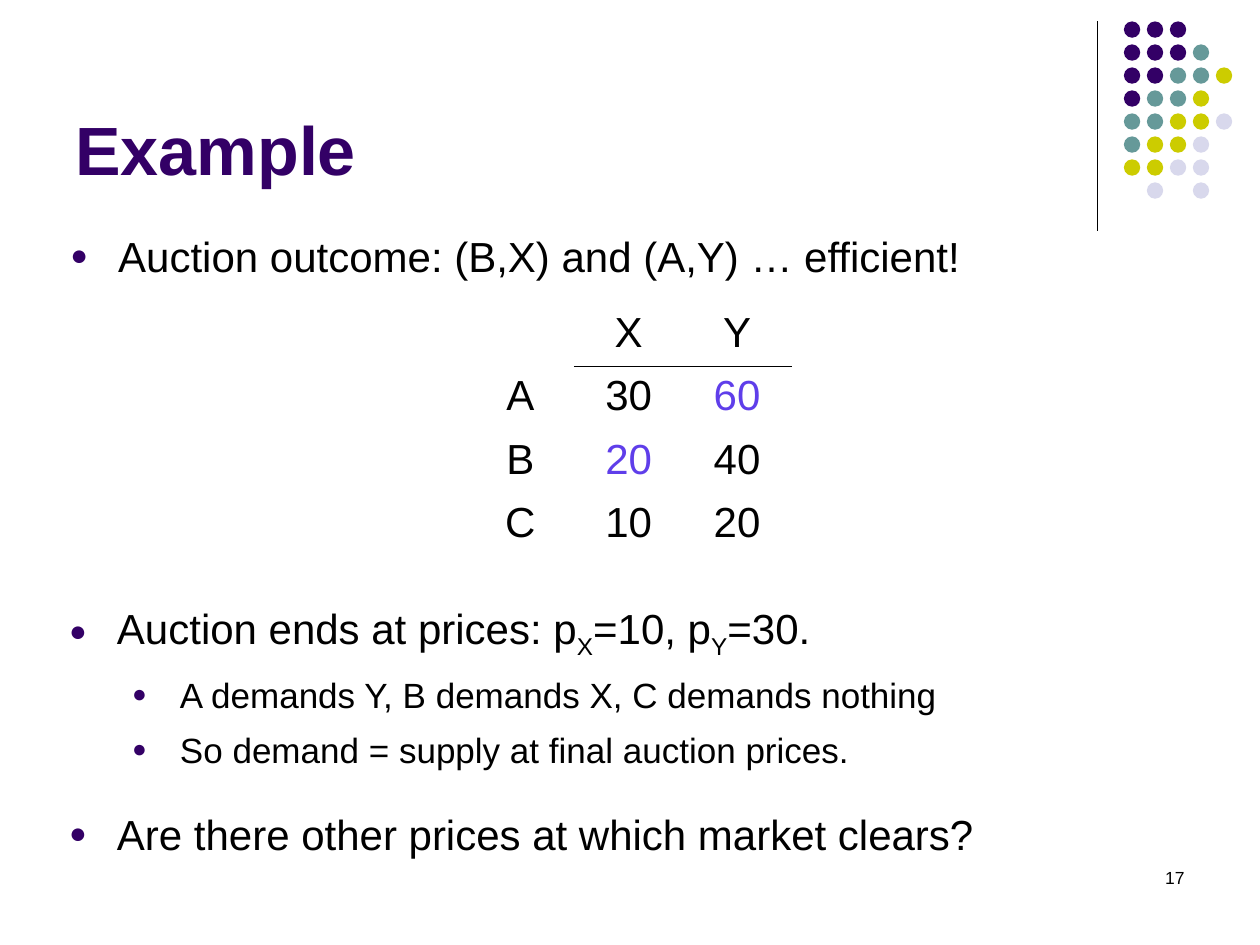
from dataclasses import dataclass

from lxml import etree
from pptx import Presentation
from pptx.dml.color import RGBColor
from pptx.enum.shapes import MSO_CONNECTOR, MSO_SHAPE
from pptx.enum.text import MSO_ANCHOR, PP_ALIGN
from pptx.oxml.ns import qn
from pptx.util import Inches, Pt

LEFT, CENTER, RIGHT = PP_ALIGN.LEFT, PP_ALIGN.CENTER, PP_ALIGN.RIGHT
TOP, BOTTOM = MSO_ANCHOR.TOP, MSO_ANCHOR.BOTTOM
OVAL, STRAIGHT = MSO_SHAPE.OVAL, MSO_CONNECTOR.STRAIGHT


@dataclass(frozen=True)
class Theme:
    font: str = "Arial"
    ink: str = "000000"
    purple: str = "330066"
    teal: str = "669999"
    lime: str = "CCCC00"
    mist: str = "D8D8EC"
    highlight: str = "5F3EEA"
    title: int = 39
    body: int = 24
    detail: int = 20
    small: int = 10


THEME = Theme()

DOT_COLORS = {"p": THEME.purple, "t": THEME.teal, "l": THEME.lime, "m": THEME.mist}
DOT_ROWS = ["ppp", "pppt", "ppttl", "pttl", "ttllm", "tllm", "llmm", " m m"]
DOT_PITCH = 0.73 / 4

VALUES = [
    ["", "X", "Y"],
    ["A", "30", "60"],
    ["B", "20", "40"],
    ["C", "10", "20"],
]
WINNING_CELLS = {(1, 2), (2, 1)}


def write_text(paragraph, text, size=THEME.body, color=THEME.ink, bold=False,
               align=LEFT, before=0, spacing=None, subscripts=()):
    """Fill a paragraph; text is split at "_" and a piece in subscripts is lowered."""
    paragraph.alignment = align
    paragraph.space_before = Pt(before)
    if spacing:
        paragraph.line_spacing = spacing
    for piece in text.split("_"):
        run = paragraph.add_run()
        run.text = piece
        run.font.name = THEME.font
        run.font.size = Pt(size)
        run.font.bold = bold
        run.font.color.rgb = RGBColor.from_string(color)
        if piece in subscripts:
            run.font._element.set("baseline", "-25000")


def add_bullet(paragraph, indent, hanging=0.38):
    properties = paragraph._p.get_or_add_pPr()
    properties.set("marL", str(Inches(indent)))
    properties.set("indent", str(-Inches(hanging)))
    color = etree.SubElement(properties, qn("a:buClr"))
    etree.SubElement(color, qn("a:srgbClr"), val=THEME.purple)
    etree.SubElement(properties, qn("a:buSzPct"), val="70000")
    etree.SubElement(properties, qn("a:buFont"), typeface=THEME.font)
    etree.SubElement(properties, qn("a:buChar"), char="●")


def add_text_frame(slide, left, top, width, height, anchor=TOP):
    box = slide.shapes.add_textbox(Inches(left), Inches(top), Inches(width), Inches(height))
    frame = box.text_frame
    frame.word_wrap = True
    frame.vertical_anchor = anchor
    return frame


def add_bullets(slide, left, top, width, height, items, spacing=None):
    frame = add_text_frame(slide, left, top, width, height)
    for index, (text, indent, text_format) in enumerate(items):
        paragraph = frame.add_paragraph() if index else frame.paragraphs[0]
        add_bullet(paragraph, indent)
        write_text(paragraph, text, spacing=spacing, **text_format)


def add_divider(slide, x, top, bottom):
    line = slide.shapes.add_connector(STRAIGHT, Inches(x), Inches(top), Inches(x), Inches(bottom))
    line.line.color.rgb = RGBColor.from_string(THEME.ink)
    line.line.width = Pt(0.75)
    etree.SubElement(line._element.spPr, qn("a:effectLst"))


def add_dots(slide, left, top, size):
    for row, codes in enumerate(DOT_ROWS):
        for column, code in enumerate(codes):
            if code == " ":
                continue
            dot = slide.shapes.add_shape(
                OVAL, Inches(left + column * DOT_PITCH), Inches(top + row * DOT_PITCH),
                Inches(size), Inches(size))
            dot.shadow.inherit = False
            dot.fill.solid()
            dot.fill.fore_color.rgb = RGBColor.from_string(DOT_COLORS[code])
            dot.line.fill.background()


def add_cell_border(cell, side):
    border = etree.Element(qn(f"a:{side}"), w=str(Pt(1)))
    fill = etree.SubElement(border, qn("a:solidFill"))
    etree.SubElement(fill, qn("a:srgbClr"), val=THEME.ink)
    cell._tc.get_or_add_tcPr().insert(0, border)


def add_value_table(slide, left, top, column_width, row_height):
    rows, columns = len(VALUES), len(VALUES[0])
    table = slide.shapes.add_table(
        rows, columns, Inches(left), Inches(top),
        Inches(column_width * columns), Inches(row_height * rows)).table
    table.first_row = False
    table.horz_banding = False
    for row, values in enumerate(VALUES):
        for column, value in enumerate(values):
            cell = table.cell(row, column)
            cell.fill.background()
            color = THEME.highlight if (row, column) in WINNING_CELLS else THEME.ink
            write_text(cell.text_frame.paragraphs[0], value, color=color, align=CENTER)
            # Rule between the headings and the values
            if column and row < 2:
                add_cell_border(cell, "lnT" if row else "lnB")


def main():
    presentation = Presentation()
    presentation.slide_width, presentation.slide_height = Inches(10), Inches(7.5)
    slide = presentation.slides.add_slide(presentation.slide_layouts[6])

    # Corner decoration
    add_divider(slide, 8.71, 0.17, 1.83)
    add_dots(slide, 8.92, 0.17, 0.13)

    # Title and page number
    title = add_text_frame(slide, 0.5, 0.13, 8.25, 1.42, BOTTOM)
    write_text(title.paragraphs[0], "Example", size=THEME.title, color=THEME.purple, bold=True)
    number = add_text_frame(slide, 7.17, 6.83, 2.33, 0.5)
    write_text(number.paragraphs[0], "17", size=THEME.small, align=RIGHT)

    # Outcome and valuations
    add_bullets(slide, 0.46, 1.78, 9.08, 0.61, [
        ("Auction outcome: (B,X) and (A,Y) … efficient!", 0.38, {}),
    ])
    add_value_table(slide, 3.7, 2.41, 0.86, 0.47)

    # Prices
    detail = {"size": THEME.detail, "before": 5}
    add_bullets(slide, 0.45, 4.69, 9.08, 2.28, [
        ("Auction ends at prices: p_X_=10, p_Y_=30.", 0.38, {"subscripts": ("X", "Y")}),
        ("A demands Y, B demands X, C demands nothing", 0.88, detail),
        ("So demand = supply at final auction prices.", 0.88, detail),
        ("Are there other prices at which market clears?", 0.38, {"before": 19}),
    ], spacing=1.1)

    presentation.save("out.pptx")


if __name__ == "__main__":
    main()
